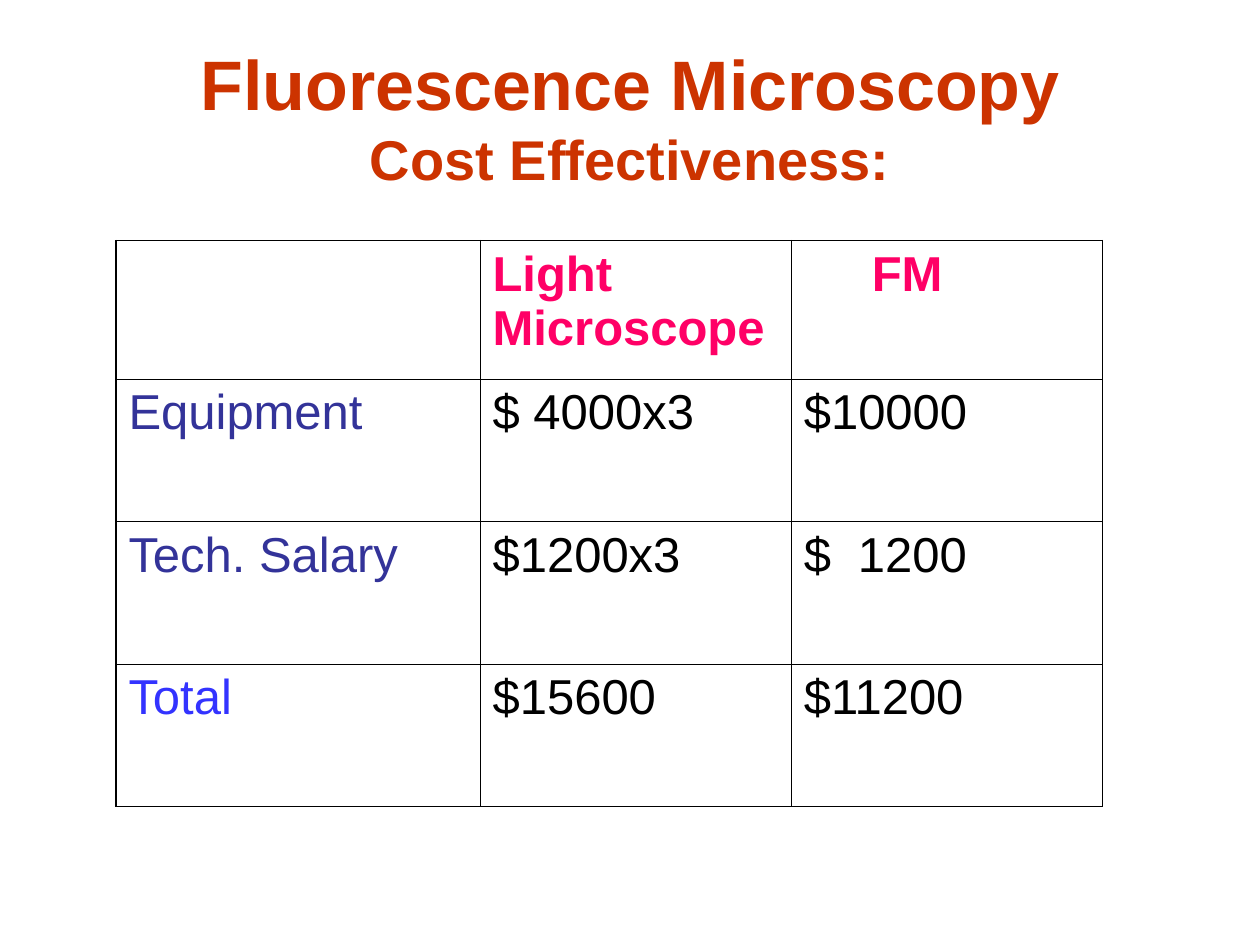
from dataclasses import dataclass

from lxml.etree import SubElement
from pptx import Presentation
from pptx.dml.color import RGBColor
from pptx.enum.text import MSO_ANCHOR, MSO_AUTO_SIZE, PP_ALIGN
from pptx.oxml.ns import qn
from pptx.util import Inches, Pt


@dataclass(frozen=True)
class Theme:
    face: str = "Arial"
    title: str = "CC3300"
    head: str = "FF0066"
    label: str = "333399"
    total: str = "3333FF"
    ink: str = "000000"
    big: int = 40
    mid: int = 32
    body: int = 28
    thick: float = 1.08
    thin: float = 0.45


@dataclass(frozen=True)
class Entry:
    text: str
    color: str
    bold: bool = False
    indent: float = 0
    tab: float = 0


THEME = Theme()
WIDTHS = (2.89, 2.47, 2.47)
HEIGHTS = (1.1, 1.13, 1.13, 1.13)
ROWS = (
    (
        Entry("", THEME.head),
        Entry("Light Microscope", THEME.head, True),
        Entry("FM", THEME.head, True, indent=0.54),
    ),
    (
        Entry("Equipment", THEME.label),
        Entry("$ 4000x3", THEME.ink),
        Entry("$10000", THEME.ink),
    ),
    (
        Entry("Tech. Salary", THEME.label),
        Entry("$1200x3", THEME.ink),
        Entry("$\t1200", THEME.ink, tab=0.43),
    ),
    (
        Entry("Total", THEME.total),
        Entry("$15600", THEME.ink),
        Entry("$11200", THEME.ink),
    ),
)


def apply(item, values: dict) -> None:
    for name, value in values.items():
        setattr(item, name, value)


def style(font, size: int, color: str, bold: bool) -> None:
    apply(font, {"name": THEME.face, "size": Pt(size), "bold": bold})
    font.color.rgb = RGBColor.from_string(color)


def place(left: float, top: float, width: float, height: float) -> dict:
    return {
        "left": Inches(left),
        "top": Inches(top),
        "width": Inches(width),
        "height": Inches(height),
    }


def draw_title(shape) -> None:
    apply(shape, place(0.5, 0.3, 9, 1.25))
    frame = shape.text_frame
    apply(frame, {
        "word_wrap": True,
        "auto_size": MSO_AUTO_SIZE.NONE,
        "vertical_anchor": MSO_ANCHOR.MIDDLE,
    })
    frame.text = "Fluorescence Microscopy\vCost Effectiveness:"
    line = frame.paragraphs[0]
    line.alignment = PP_ALIGN.CENTER
    for run, size in zip(line.runs, (THEME.big, THEME.mid)):
        style(run.font, size, THEME.title, True)


def draw_edge(cell, side: str, width: float) -> None:
    props = cell._tc.get_or_add_tcPr()
    edge = SubElement(props, qn(f"a:ln{side}"), w=str(Pt(width)))
    fill = SubElement(edge, qn("a:solidFill"))
    SubElement(fill, qn("a:srgbClr"), val=THEME.ink)


def fill_cell(cell, entry: Entry) -> None:
    cell.fill.background()
    if not entry.text:
        return
    cell.text = entry.text
    line = cell.text_frame.paragraphs[0]
    props = line._p.get_or_add_pPr()
    if entry.indent:
        apply_indent = {"marL": Inches(entry.indent), "indent": 0}
        for name, value in apply_indent.items():
            props.set(name, str(value))
    if entry.tab:
        tabs = SubElement(props, qn("a:tabLst"))
        SubElement(tabs, qn("a:tab"), pos=str(Inches(entry.tab)), algn="l")
    style(line.runs[0].font, THEME.body, entry.color, entry.bold)


def draw_table(slide) -> None:
    rows, cols = len(HEIGHTS), len(WIDTHS)
    area = place(0.92, 1.91, sum(WIDTHS), sum(HEIGHTS))
    table = slide.shapes.add_table(rows, cols, **area).table
    apply(table, {"first_row": False, "horz_banding": False})
    for col, width in zip(table.columns, WIDTHS):
        col.width = Inches(width)
    for row, height in zip(table.rows, HEIGHTS):
        row.height = Inches(height)
    for y, entries in enumerate(ROWS):
        for x, entry in enumerate(entries):
            cell = table.cell(y, x)
            outer = {
                "L": x == 0,
                "R": x == cols - 1,
                "T": y == 0,
                "B": y == rows - 1,
            }
            for side, rim in outer.items():
                draw_edge(cell, side, THEME.thick if rim else THEME.thin)
            fill_cell(cell, entry)


def main() -> None:
    deck = Presentation()
    apply(deck, {"slide_width": Inches(10), "slide_height": Inches(7.5)})
    slide = deck.slides.add_slide(deck.slide_layouts[5])
    draw_title(slide.shapes.title)
    draw_table(slide)
    deck.save("out.pptx")


if __name__ == "__main__":
    main()
